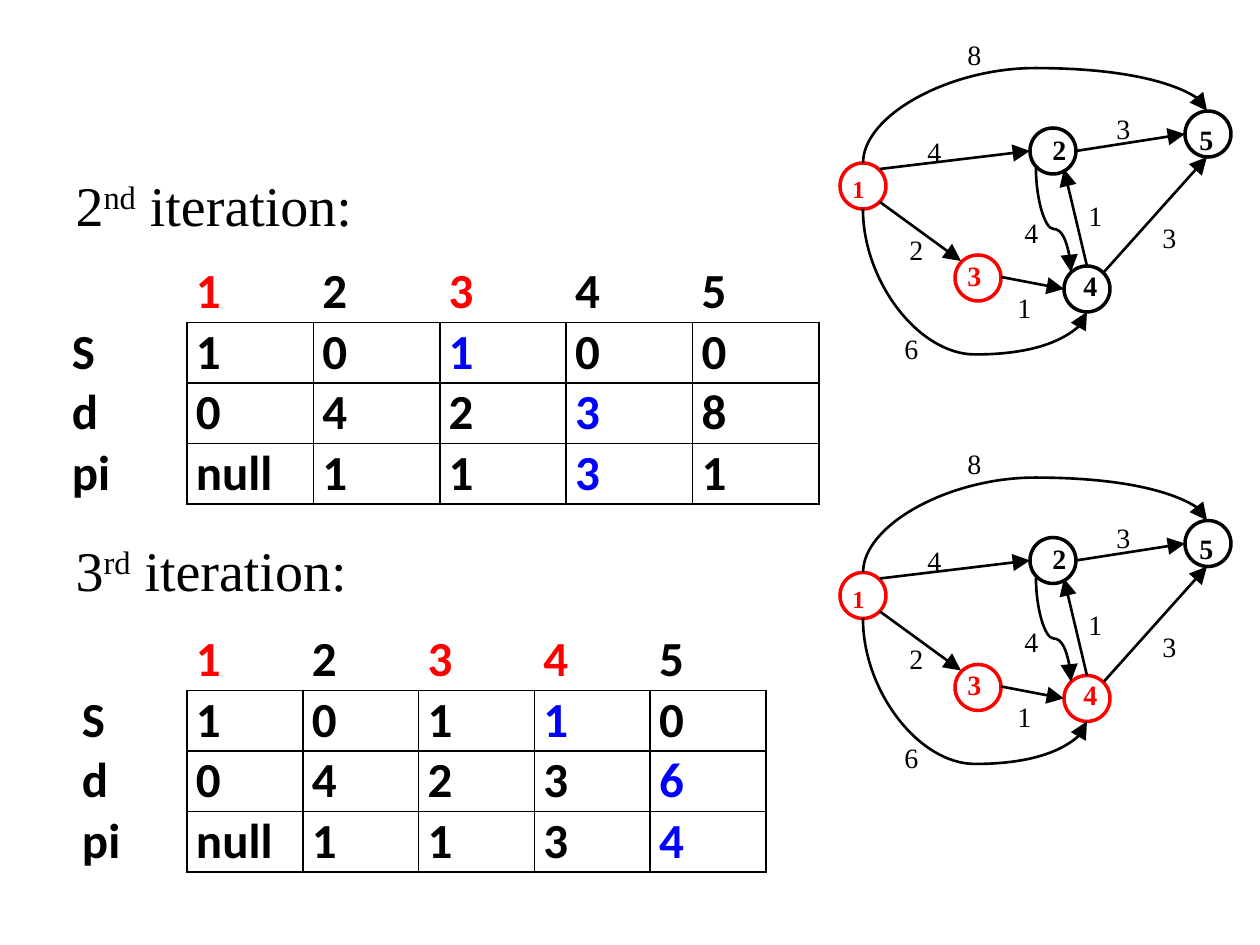
"""Build the slide with the second and third iterations of a shortest-path run."""
from dataclasses import dataclass

from lxml import etree
from pptx import Presentation
from pptx import util as u
from pptx.dml.color import RGBColor
from pptx.enum import shapes, text
from pptx.oxml.ns import qn

COLORS = {"black": "000000", "red": "FF0000", "blue": "0000FF"}
SERIF, SANS = "Times New Roman", "Calibri"
PX_PER_INCH = 126
NODE_SIZE = 46
TEXT_HEIGHT = 47


@dataclass(frozen=True)
class Node:
    name: str
    x: int
    y: int
    text_x: int
    text_y: int
    size: int = 16


@dataclass(frozen=True)
class Edge:
    x1: int
    y1: int
    x2: int
    y2: int
    bend: float = 0


@dataclass(frozen=True)
class Weight:
    value: str
    x: int
    y: int


@dataclass(frozen=True)
class Iteration:
    number: str
    suffix: str
    table_x: int
    table_y: int
    label_width: int
    data_width: int
    graph_y: float
    rows: tuple
    visited: tuple
    changed: tuple


NODES = (
    Node("1", 840, 163, 840, 168, 14),
    Node("2", 1030, 128, 1040, 126),
    Node("3", 955, 255, 955, 252),
    Node("4", 1064, 266, 1071, 262),
    Node("5", 1185, 111, 1187, 116),
)
EDGES = (
    Edge(863, 163, 1207, 111, 1.825),
    Edge(880, 202, 961, 261),
    Edge(1001, 277, 1064, 289),
    Edge(1104, 272, 1207, 157),
    Edge(880, 169, 1030, 151),
    Edge(1076, 151, 1185, 134),
    Edge(1087, 266, 1064, 169),
    Edge(863, 209, 1087, 312, 1.413),
    Edge(1036, 168, 1071, 272, 0.586),
)
WEIGHTS = (
    Weight("8", 955, 31), Weight("4", 915, 128), Weight("3", 1104, 105),
    Weight("6", 892, 325), Weight("2", 897, 226), Weight("1", 1005, 284),
    Weight("4", 1012, 209), Weight("1", 1076, 192), Weight("3", 1150, 214),
)
HEADER = ("", "1", "2", "3", "4", "5")
ITERATIONS = (
    Iteration("2", "nd", 63, 262, 124, 632, 0,
              (HEADER, ("S", "1", "0", "1", "0", "0"), ("d", "0", "4", "2", "3", "8"),
               ("pi", "null", "1", "1", "3", "1")),
              ("1", "3"), ((1, 3), (2, 4), (3, 4))),
    Iteration("3", "rd", 73, 630, 114, 579, 409.5,
              (HEADER, ("S", "1", "0", "1", "1", "0"), ("d", "0", "4", "2", "3", "6"),
               ("pi", "null", "1", "1", "3", "4")),
              ("1", "3", "4"), ((1, 4), (2, 5), (3, 5))),
)


def px(n: float) -> int:
    return round(n * u.Inches(1) / PX_PER_INCH)


def rgb(name: str) -> RGBColor:
    return RGBColor.from_string(COLORS[name])


def add_run(p, words: str, size: int, font: str, color: str = "black", bold: bool = False):
    r = p.add_run()
    r.text = words
    r.font.size, r.font.name, r.font.bold = u.Pt(size), font, bold
    r.font.color.rgb = rgb(color)
    return r


def fill_body(s) -> None:
    s.shapes.title.element.getparent().remove(s.shapes.title.element)
    sp = s.placeholders[1]
    sp.left, sp.top, sp.width, sp.height = px(63), px(157), px(1134), px(624)
    tf = sp.text_frame
    tf.auto_size, tf.margin_top = text.MSO_AUTO_SIZE.NONE, px(13)
    for i, it in enumerate(ITERATIONS):
        p = tf.add_paragraph() if i else tf.paragraphs[0]
        p.space_before = u.Pt(170.5 * i)
        p_pr = p._p.get_or_add_pPr()
        p_pr.set("marL", str(px(48)))
        p_pr.set("indent", str(px(-48)))
        etree.SubElement(p_pr, qn("a:buNone"))
        add_run(p, it.number, 32, SERIF)
        add_run(p, it.suffix, 32, SERIF).font._element.set("baseline", "30000")
        add_run(p, " iteration:", 32, SERIF)


def set_border(tc_pr, index: int, side: str, shown: bool) -> None:
    ln = etree.Element(qn(f"a:ln{side}"), w=str(u.Pt(1)))
    if shown:
        fill = etree.SubElement(ln, qn("a:solidFill"))
        etree.SubElement(fill, qn("a:srgbClr"), val=COLORS["black"])
    else:
        etree.SubElement(ln, qn("a:noFill"))
    tc_pr.insert(index, ln)


def add_state_table(s, it: Iteration) -> None:
    frame = s.shapes.add_table(len(it.rows), len(HEADER), px(it.table_x), px(it.table_y),
                               px(it.label_width + it.data_width), px(242))
    table = frame.table
    table.first_row = table.horz_banding = False
    for c, column in enumerate(table.columns):
        column.width = px(it.data_width / 5 if c else it.label_width)
    for r, row in enumerate(it.rows):
        for c, value in enumerate(row):
            cell = table.cell(r, c)
            cell.margin_left = cell.margin_right = px(9)
            cell.margin_top = cell.margin_bottom = 0
            cell.fill.background()
            color = "red" if r == 0 and value in it.visited else "black"
            color = "blue" if (r, c) in it.changed else color
            p = cell.text_frame.paragraphs[0]
            p.font.size = u.Pt(28)
            if value:
                add_run(p, value, 28, SANS, color, True)
            data = r > 0 and c > 0
            shown = {"L": data, "R": r > 0, "T": data, "B": c > 0}
            for i, (side, visible) in enumerate(shown.items()):
                set_border(cell._tc.get_or_add_tcPr(), i, side, visible)


def add_digit(group, value: str, x: float, y: float, width: int, size: int = 16,
              color: str = "black", bold: bool = False) -> None:
    tf = group.shapes.add_textbox(px(x), px(y), px(width), px(TEXT_HEIGHT)).text_frame
    tf.word_wrap = True
    add_run(tf.paragraphs[0], value, size, SERIF, color, bold)


def add_node(group, node: Node, dy: float, color: str) -> None:
    sp = group.shapes.add_shape(shapes.MSO_SHAPE.OVAL, px(node.x), px(node.y + dy),
                                px(NODE_SIZE), px(NODE_SIZE))
    sp.shadow.inherit = False
    sp.fill.background()
    sp.line.color.rgb, sp.line.width = rgb(color), u.Pt(2)
    add_digit(group, node.name, node.text_x, node.text_y + dy, 29, node.size, color, True)


def add_edge(group, e: Edge, dy: float) -> None:
    kind, ends = shapes.MSO_CONNECTOR.STRAIGHT, (e.x1, e.y1 + dy, e.x2, e.y2 + dy)
    rising = e.y2 < e.y1
    if e.bend:
        kind = shapes.MSO_CONNECTOR.CURVE
        cx, cy = (e.x1 + e.x2) / 2, (e.y1 + e.y2) / 2 + dy
        w, h = abs(e.y2 - e.y1) / 2, (e.x2 - e.x1) / 2 * (1 if rising else -1)
        ends = (cx + w, cy + h, cx - w, cy - h)
    line = group.shapes.add_connector(kind, *map(px, ends))
    line.line.color.rgb, line.line.width = rgb("black"), u.Pt(1.5)
    sp_pr = line.element.spPr
    etree.SubElement(sp_pr.find(qn("a:ln")), qn("a:tailEnd"), type="triangle", w="lg", len="lg")
    etree.SubElement(sp_pr, qn("a:effectLst"))
    if e.bend:
        line.rotation = 90 if rising else 270
        guides = sp_pr.find(qn("a:prstGeom")).find(qn("a:avLst"))
        etree.SubElement(guides, qn("a:gd"), name="adj1", fmla=f"val {round(e.bend * 100000)}")


def add_graph(s, it: Iteration) -> None:
    group = s.shapes.add_group_shape()
    for node in NODES:
        add_node(group, node, it.graph_y, "red" if node.name in it.visited else "black")
    for edge in EDGES:
        add_edge(group, edge, it.graph_y)
    for weight in WEIGHTS:
        add_digit(group, weight.value, weight.x, weight.y + it.graph_y, 34)


def main() -> None:
    prs = Presentation()
    prs.slide_width, prs.slide_height = px(1260), px(945)
    s = prs.slides.add_slide(prs.slide_layouts[1])
    fill_body(s)
    for it in ITERATIONS:
        add_state_table(s, it)
    for it in ITERATIONS:
        add_graph(s, it)
    prs.save("out.pptx")


if __name__ == "__main__":
    main()
